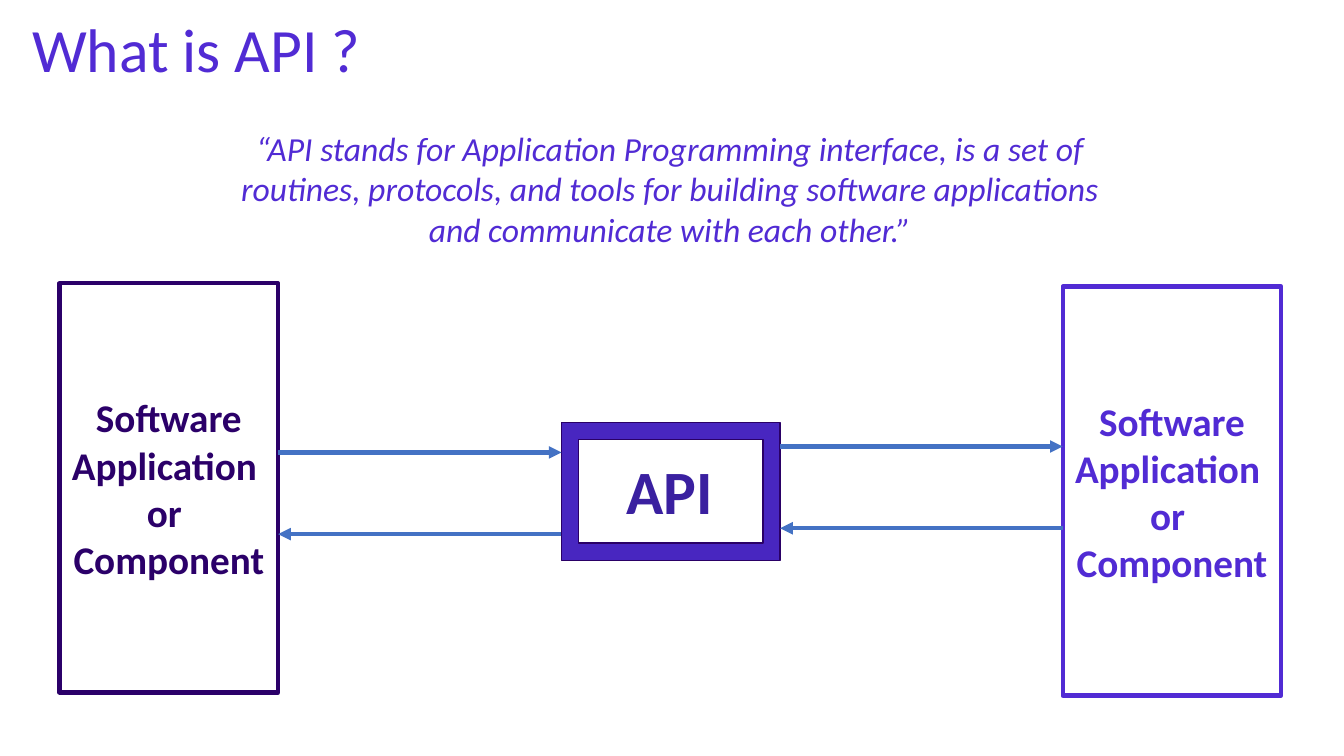
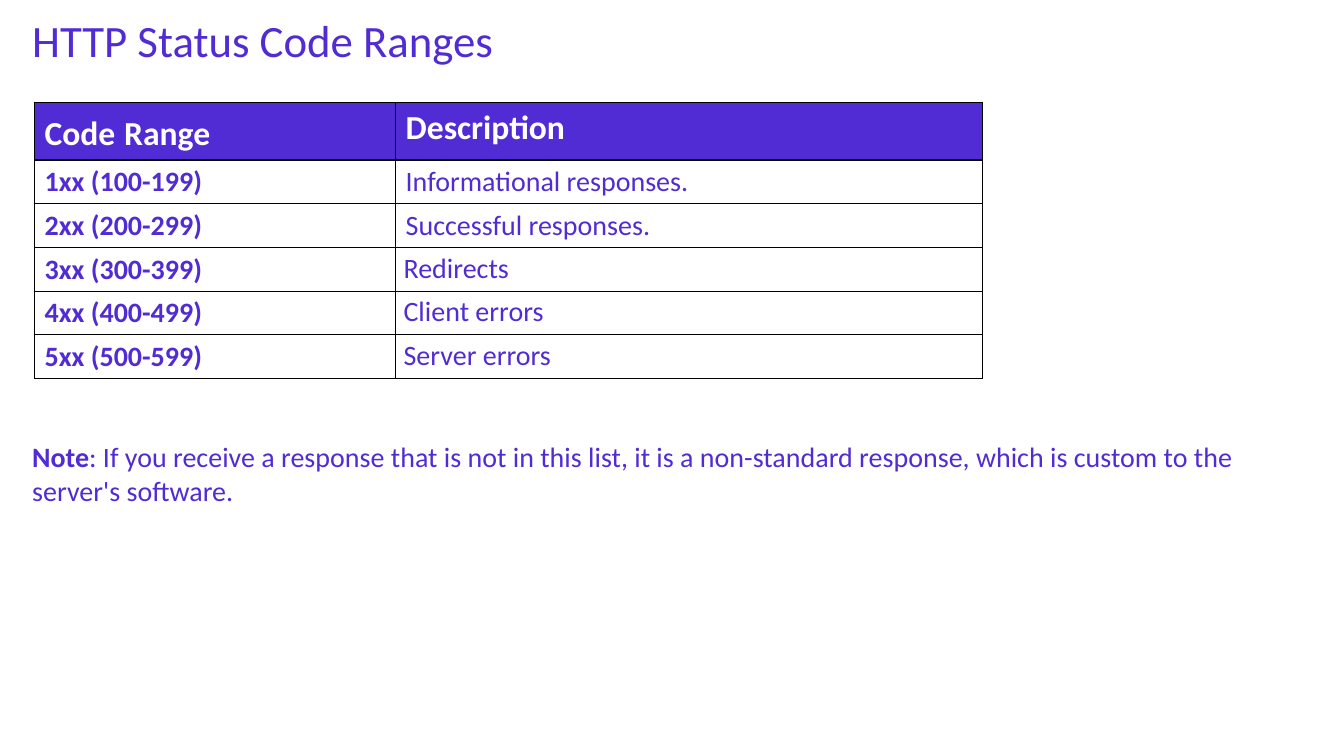
import pptx
import pptx.util
import pptx.dml.color
import pptx.enum.shapes
import pptx.enum.text
import pptx.oxml.ns
import lxml.etree

Cm = pptx.util.Cm
Pt = pptx.util.Pt
Qn = pptx.oxml.ns.qn
Kind = pptx.enum.shapes.MSO_SHAPE
Mid = pptx.enum.text.MSO_ANCHOR.MIDDLE
Top = pptx.enum.text.MSO_ANCHOR.TOP
Left = pptx.enum.text.PP_ALIGN.LEFT
Center = pptx.enum.text.PP_ALIGN.CENTER


def tint(code):
    return pptx.dml.color.RGBColor.from_string(code)


class Deck:
    """Holds the shared style and the slide being drawn."""

    font = "Calibri"
    main = "512BD4"
    dark = "2B0069"
    white = "FFFFFF"
    blue = "4472C4"

    def __init__(self):
        self.file = pptx.Presentation()
        self.file.slide_width = Cm(33.87)
        self.file.slide_height = Cm(19.05)
        self.slide = None

    def start(self, title, size):
        self.slide = self.file.slides.add_slide(self.file.slide_layouts[6])
        frame = self.text(0.56, 0.36, 29.5, 1.83, [[(title, size, "")]])
        frame.paragraphs[0].line_spacing = 0.9

    def letter(self, frame, lines, color, align=Left):
        for i, line in enumerate(lines):
            para = frame.add_paragraph() if i else frame.paragraphs[0]
            para.alignment = align
            for words, size, look in line:
                run = para.add_run()
                run.text = words
                run.font.name = self.font
                run.font.size = Pt(size)
                run.font.bold = "b" in look
                run.font.italic = "i" in look
                run.font.color.rgb = tint(color)

    def text(self, x, y, w, h, lines, color=main, align=Left, wrap=True):
        box = self.slide.shapes.add_textbox(Cm(x), Cm(y), Cm(w), Cm(h))
        frame = box.text_frame
        frame.word_wrap = wrap
        frame.vertical_anchor = Top
        self.letter(frame, lines, color, align)
        return frame

    def shape(self, kind, x, y, w, h, fill, line, width, lines=()):
        form = self.slide.shapes.add_shape(kind, Cm(x), Cm(y), Cm(w), Cm(h))
        form.shadow.inherit = False
        form.fill.solid()
        form.fill.fore_color.rgb = tint(fill)
        form.line.color.rgb = tint(line)
        form.line.width = Pt(width)
        form.text_frame.word_wrap = True
        form.text_frame.vertical_anchor = Mid
        self.letter(form.text_frame, lines, line, Center)

    def arrow(self, start, end, y):
        link = self.slide.shapes.add_connector(
            pptx.enum.shapes.MSO_CONNECTOR.STRAIGHT, Cm(start), Cm(y), Cm(end), Cm(y))
        link.line.color.rgb = tint(self.blue)
        link.line.width = Pt(3)
        props = link._element.spPr
        lxml.etree.SubElement(props.find(Qn("a:ln")), Qn("a:tailEnd"), type="triangle")
        lxml.etree.SubElement(props, Qn("a:effectLst"))

    def border(self, cell):
        props = cell._tc.get_or_add_tcPr()
        for side in ("L", "R", "T", "B"):
            edge = lxml.etree.SubElement(props, Qn("a:ln" + side), w=str(Pt(1)))
            fill = lxml.etree.SubElement(edge, Qn("a:solidFill"))
            lxml.etree.SubElement(fill, Qn("a:srgbClr"), val="000000")

    def table(self, x, y, cols, tall, rows, tight):
        grid = self.slide.shapes.add_table(
            len(rows), len(cols), Cm(x), Cm(y), Cm(sum(cols)), Cm(tall * len(rows))).table
        grid.first_row = grid.horz_banding = False
        for col, wide in zip(grid.columns, cols):
            col.width = Cm(wide)
        for r, row in enumerate(rows):
            grid.rows[r].height = Cm(tall)
            for c, runs in enumerate(row):
                cell = grid.cell(r, c)
                self.border(cell)
                cell.fill.solid()
                cell.fill.fore_color.rgb = tint(self.white if r else self.main)
                if c and r >= tight:
                    cell.margin_left = cell.margin_right = Cm(0.2)
                    cell.margin_top = cell.margin_bottom = Cm(0.1)
                self.letter(cell.text_frame, [runs], self.main if r else self.white)


def draw_api(deck):
    deck.start("What is API ?", 44)
    wide, tall = 5.51, 10.31
    left, hub, right = 1.5, 14.15, 26.78
    label = [[(words, 28, "b")] for words in ("Software Application ", "or ", "Component")]
    for x, y, color in ((right, 7.22, deck.main), (left, 7.14, deck.dark)):
        deck.shape(Kind.RECTANGLE, x, y, wide, tall, deck.white, color, 3, label)
    deck.shape(Kind.FRAME, hub, 10.64, wide, 3.48, "4826C0", "2A0066", 1)
    deck.text(15.54, 11.3, 2.72, 2.13, [[("API", 44, "b")]], "3A20A0", wrap=False)
    for start, end, y in ((left + wide, hub, 11.4), (hub + wide, right, 11.25)):
        deck.arrow(start, end, y)
        deck.arrow(end, start, y + 2.06)
    quote = ("“API stands for Application Programming interface, is a set of routines, "
             "protocols, and tools for building software applications and communicate "
             "with each other.”")
    deck.text(5.69, 3.1, 22.38, 3.33, [[(quote, 24, "i")]], align=Center)


def draw_codes(deck):
    deck.start("HTTP Status Code Ranges", 32)
    rows = [[[("Code", 24, "b"), (" ", 28, "b"), ("Range", 24, "b")],
             [("Description", 24, "b")]]]
    means = ("Informational responses.", "Successful responses.",
             "Redirects", "Client errors", "Server errors")
    for n, mean in enumerate(means, 1):
        rows.append([[(f"{n}xx ({n}00-{n}99)", 20, "b")], [(mean, 20, "")]])
    deck.table(0.87, 2.59, (9.1, 14.8), 1.04, rows, tight=3)
    note = (": If you receive a response that is not in this list, it is a non-standard "
            "response, which is custom to the server's software.")
    deck.text(0.56, 10.95, 31.55, 1.96, [[("Note", 20, "b"), (note, 20, "")]])


def main():
    deck = Deck()
    draw_api(deck)
    draw_codes(deck)
    deck.file.save("out.pptx")


if __name__ == "__main__":
    main()
